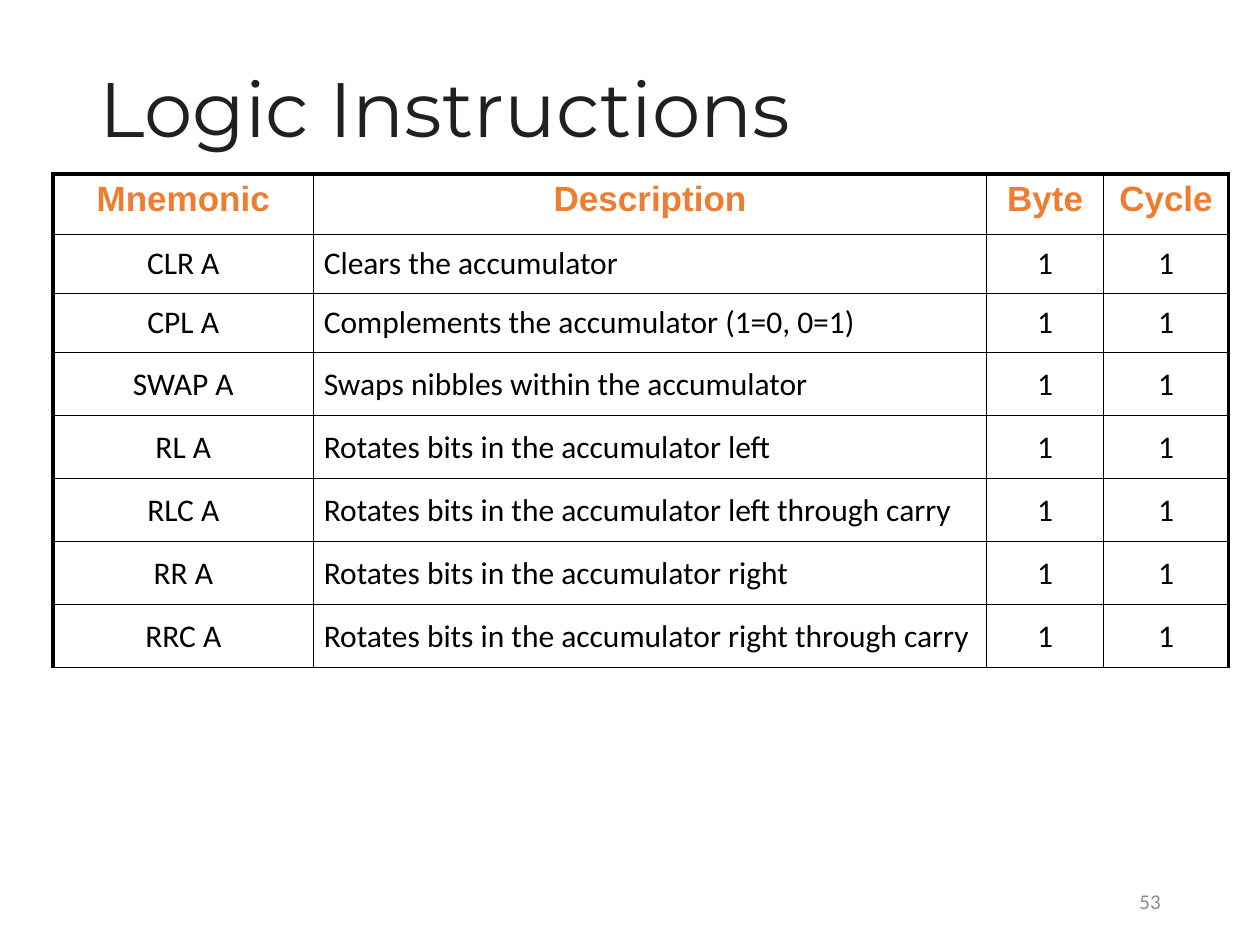
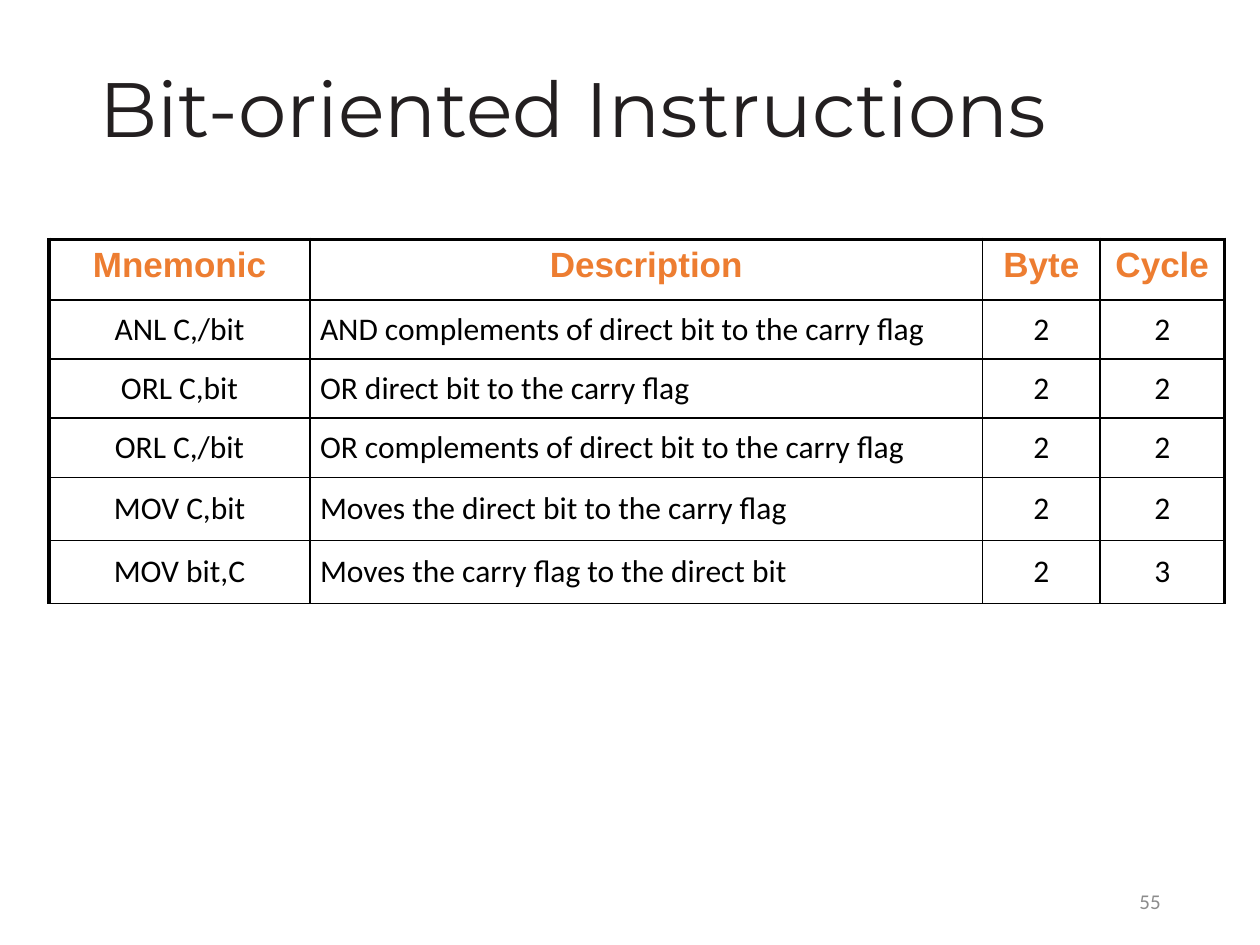
"""Build two slides that list microcontroller instructions in tables."""
from dataclasses import dataclass
from typing import NamedTuple

from lxml.etree import SubElement
from pptx import Presentation
from pptx.dml.color import RGBColor
from pptx.enum.text import MSO_ANCHOR as Anchor, PP_ALIGN as Align
from pptx.oxml.ns import qn
from pptx.slide import Slide
from pptx.table import _Cell as Cell
from pptx.text.text import _Paragraph as Paragraph
from pptx.util import Inches, Length, Pt


class TextStyle(NamedTuple):
    font: str
    size: Length
    color: RGBColor
    bold: bool = False


@dataclass(frozen=True)
class Theme:
    title: TextStyle = TextStyle("Montserrat", Pt(44), RGBColor(0x23, 0x1F, 0x20))
    header: TextStyle = TextStyle("Arial", Pt(20), RGBColor(0xED, 0x7D, 0x31), True)
    body: TextStyle = TextStyle("Calibri", Pt(18), RGBColor(0, 0, 0))
    number: TextStyle = TextStyle("Calibri", Pt(12), RGBColor(0x8C, 0x8C, 0x8C))
    border_color: str = "000000"
    inner_line: Length = Pt(1)
    outer_line: Length = Pt(2.25)


class Box(NamedTuple):
    left: Length
    top: Length
    width: Length
    height: Length


class Instruction(NamedTuple):
    mnemonic: str
    description: str
    byte: str
    cycle: str


@dataclass(frozen=True)
class InstructionSlide:
    title: str
    number: int
    table_left: Length
    table_top: Length
    compact_rows: int
    instructions: list[Instruction]


THEME = Theme()
TITLE_BOX = Box(Inches(0.69), Inches(0.4), Inches(8.62), Inches(0.98))
NUMBER_BOX = Box(Inches(7.06), Inches(6.95), Inches(2.25), Inches(0.4))
HEADINGS = ("Mnemonic", "Description", "Byte", "Cycle")
COLUMN_WIDTHS = [Inches(width) for width in (2.07, 5.34, 0.93, 0.99)]
DESCRIPTION_COLUMN = 1
HEADER_HEIGHT = Inches(0.48)
COMPACT_HEIGHT = Inches(0.47)
TALL_HEIGHT = Inches(0.5)
BODY_MARGIN = Inches(0.08)

SLIDES = [
    InstructionSlide("Logic Instructions", 53, Inches(0.42), Inches(1.38), 2, [
        Instruction("CLR A", "Clears the accumulator", "1", "1"),
        Instruction("CPL A", "Complements the accumulator (1=0, 0=1)", "1", "1"),
        Instruction("SWAP A", "Swaps nibbles within the accumulator", "1", "1"),
        Instruction("RL A", "Rotates bits in the accumulator left", "1", "1"),
        Instruction("RLC A", "Rotates bits in the accumulator left through carry", "1", "1"),
        Instruction("RR A", "Rotates bits in the accumulator right", "1", "1"),
        Instruction("RRC A", "Rotates bits in the accumulator right through carry", "1", "1"),
    ]),
    InstructionSlide("Bit-oriented Instructions", 55, Inches(0.39), Inches(1.9), 3, [
        Instruction("ANL C,/bit", "AND complements of direct bit to the carry flag", "2", "2"),
        Instruction("ORL C,bit", "OR direct bit to the carry flag", "2", "2"),
        Instruction("ORL C,/bit", "OR complements of direct bit to the carry flag", "2", "2"),
        Instruction("MOV C,bit", "Moves the direct bit to the carry flag", "2", "2"),
        Instruction("MOV bit,C", "Moves the carry flag to the direct bit", "2", "3"),
    ]),
]


def format_paragraph(paragraph: Paragraph, style: TextStyle, align: Align) -> None:
    paragraph.alignment = align
    for run in paragraph.runs:
        run.font.name = style.font
        run.font.size = style.size
        run.font.bold = style.bold
        run.font.color.rgb = style.color


def add_text(slide: Slide, box: Box, text: str, style: TextStyle, align: Align) -> Paragraph:
    text_frame = slide.shapes.add_textbox(*box).text_frame
    text_frame.word_wrap = True
    text_frame.vertical_anchor = Anchor.MIDDLE
    text_frame.text = text
    paragraph = text_frame.paragraphs[0]
    format_paragraph(paragraph, style, align)
    return paragraph


def set_borders(cell: Cell, outer_edges: set[str]) -> None:
    properties = cell._tc.get_or_add_tcPr()
    for edge in ("L", "R", "T", "B"):
        width = THEME.outer_line if edge in outer_edges else THEME.inner_line
        line = SubElement(properties, qn(f"a:ln{edge}"), w=str(int(width)))
        fill = SubElement(line, qn("a:solidFill"))
        SubElement(fill, qn("a:srgbClr"), val=THEME.border_color)


def fill_cell(cell: Cell, text: str, row: int, column: int) -> None:
    is_header = row == 0
    edges = {"T": is_header, "L": column == 0, "R": column == len(HEADINGS) - 1}
    set_borders(cell, {edge for edge, is_outer in edges.items() if is_outer})
    cell.fill.background()
    cell.text_frame.text = text
    justified = column == DESCRIPTION_COLUMN and not is_header
    format_paragraph(
        cell.text_frame.paragraphs[0],
        THEME.header if is_header else THEME.body,
        Align.JUSTIFY if justified else Align.CENTER,
    )
    if not is_header:
        cell.vertical_anchor = Anchor.MIDDLE
        cell.margin_left = cell.margin_right = BODY_MARGIN
        cell.margin_top = cell.margin_bottom = BODY_MARGIN


def add_instruction_table(slide: Slide, content: InstructionSlide) -> None:
    rows = [HEADINGS, *content.instructions]
    tall_rows = len(content.instructions) - content.compact_rows
    heights = [HEADER_HEIGHT] + [COMPACT_HEIGHT] * content.compact_rows + [TALL_HEIGHT] * tall_rows
    table = slide.shapes.add_table(
        len(rows), len(HEADINGS), content.table_left, content.table_top,
        sum(COLUMN_WIDTHS), sum(heights),
    ).table
    table.first_row = table.horz_banding = False
    for column, width in zip(table.columns, COLUMN_WIDTHS):
        column.width = width
    for row_index, (values, height) in enumerate(zip(rows, heights)):
        table.rows[row_index].height = height
        for column_index, value in enumerate(values):
            fill_cell(table.cell(row_index, column_index), value, row_index, column_index)


def add_instruction_slide(presentation: Presentation, content: InstructionSlide) -> None:
    slide = presentation.slides.add_slide(presentation.slide_layouts[6])
    title = add_text(slide, TITLE_BOX, content.title, THEME.title, Align.LEFT)
    title.line_spacing = 0.9
    add_instruction_table(slide, content)
    add_text(slide, NUMBER_BOX, str(content.number), THEME.number, Align.RIGHT)


def main() -> None:
    presentation = Presentation()
    presentation.slide_width = Inches(10)
    presentation.slide_height = Inches(7.5)
    for content in SLIDES:
        add_instruction_slide(presentation, content)
    presentation.save("out.pptx")


if __name__ == "__main__":
    main()
